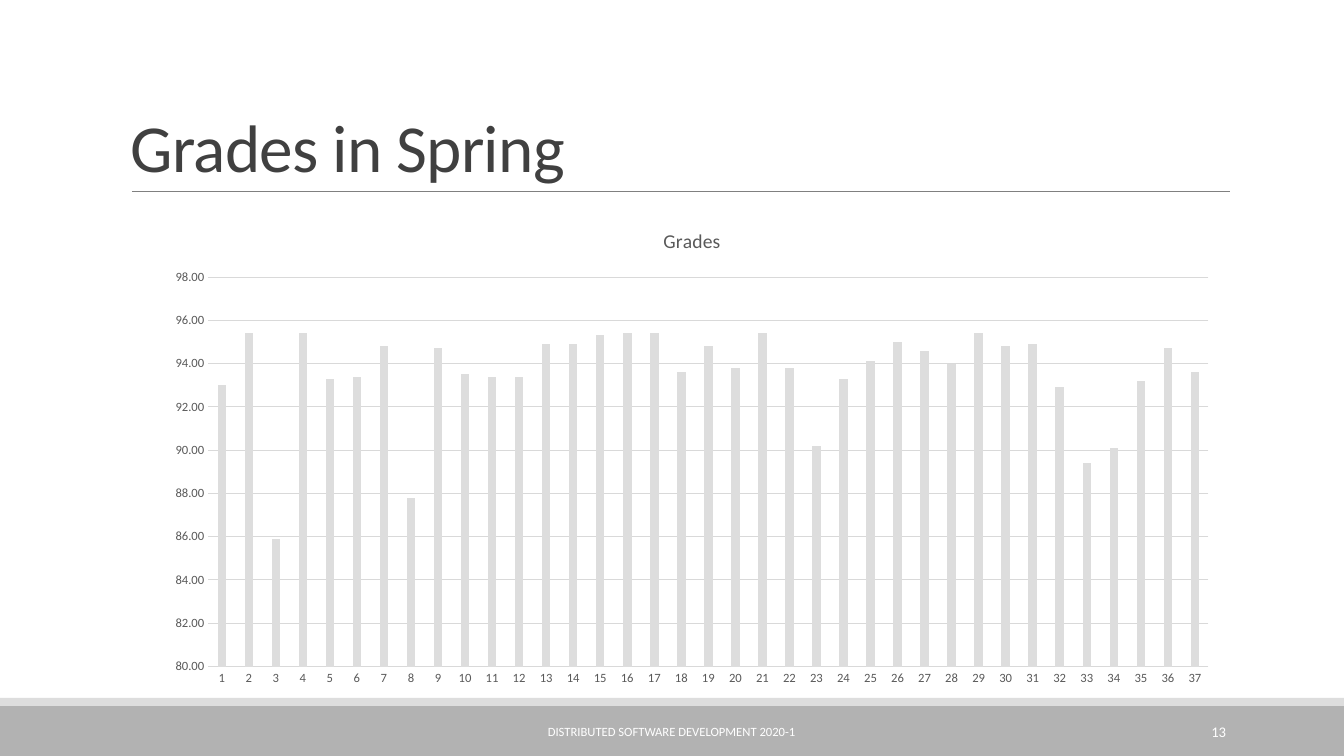
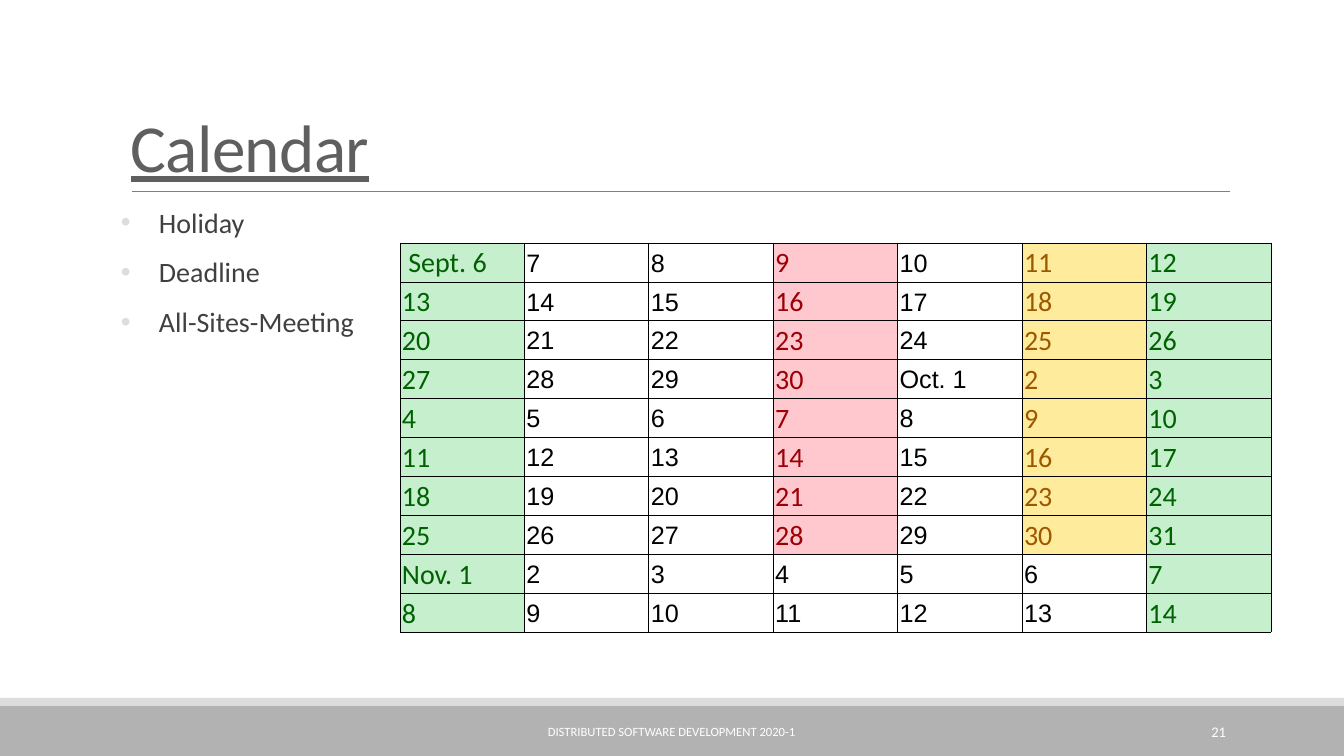
from dataclasses import dataclass
from itertools import chain

from lxml import etree
from pptx import Presentation
from pptx import util as u
from pptx.chart.data import CategoryChartData
from pptx.dml.color import RGBColor
from pptx.enum import chart as charts
from pptx.enum import shapes, text
from pptx.oxml.ns import qn

EMU_PER_PX = 914400 / 100.8
SLIDE_W, SLIDE_H = 1344, 756

COLORS = {
    "title": "404040",
    "title_linked": "5F5F5F",
    "body": "404040",
    "rule": "808080",
    "band": "B2B2B2",
    "accent": "DDDDDD",
    "white": "FFFFFF",
    "black": "000000",
    "grid": "D9D9D9",
    "chart_text": "595959",
}
FONT = "Calibri"
FOOTER = "DISTRIBUTED SOFTWARE DEVELOPMENT 2020-1"

GRADES = [
    93.0, 95.4, 85.9, 95.4, 93.3, 93.4, 94.8, 87.8, 94.7, 93.5,
    93.4, 93.4, 94.9, 94.9, 95.3, 95.4, 95.4, 93.6, 94.8, 93.8,
    95.4, 93.8, 90.2, 93.3, 94.1, 95.0, 94.6, 94.0, 95.4, 94.8,
    94.9, 92.9, 89.4, 90.1, 93.2, 94.7, 93.6,
]
LEGEND = ["Holiday", "Deadline", "All-Sites-Meeting"]
WEEKS, WEEKDAYS = 10, 7
MEETING_WEEKS = 8


@dataclass(frozen=True)
class Box:
    left: int
    top: int
    width: int
    height: int

    def emu(self) -> tuple:
        return px(self.left), px(self.top), px(self.width), px(self.height)


@dataclass(frozen=True)
class TextStyle:
    size: float
    color: str
    font: str = FONT
    underline: bool = False


@dataclass(frozen=True)
class DayStyle:
    text: TextStyle
    fill: str = ""


PLAIN_DAY = DayStyle(TextStyle(18, COLORS["black"], "Arial"))
HOLIDAY = DayStyle(TextStyle(20, "006100"), "C6EFCE")
DEADLINE = DayStyle(TextStyle(20, "9C0006"), "FFC7CE")
MEETING = DayStyle(TextStyle(20, "9C5700"), "FFEB9C")

BANDS = [
    (Box(0, 706, SLIDE_W, 50), COLORS["band"]),
    (Box(0, 698, SLIDE_W, 8), COLORS["accent"]),
]
TITLE_BOX = Box(121, 31, 1109, 160)
FOOTER_BOX = Box(406, 712, 531, 40)
NUMBER_BOX = Box(1092, 712, 144, 40)
CHART_BOX = Box(154, 209, 1076, 486)
LEGEND_BOX = Box(121, 204, 270, 444)
CALENDAR_BOX = Box(400, 243, 871, 389)


def px(length: int) -> u.Emu:
    return u.Emu(round(length * EMU_PER_PX))


def rgb(color: str) -> RGBColor:
    return RGBColor.from_string(color)


def style_font(font, style: TextStyle) -> None:
    font.name = style.font
    font.size = u.Pt(style.size)
    font.color.rgb = rgb(style.color)
    font.bold = False
    if style.underline:
        font.underline = True


def add_text(slide, box: Box, words: str, style: TextStyle,
             anchor=text.MSO_ANCHOR.MIDDLE, align=text.PP_ALIGN.LEFT):
    """Add a wrapping text box, one paragraph per line of words."""
    frame = slide.shapes.add_textbox(*box.emu()).text_frame
    frame.word_wrap = True
    frame.vertical_anchor = anchor
    frame.text = words
    for paragraph in frame.paragraphs:
        paragraph.alignment = align
        style_font(paragraph.runs[0].font, style)
    return frame


def add_rule(slide) -> None:
    rule = slide.shapes.add_connector(
        shapes.MSO_CONNECTOR.STRAIGHT, px(132), px(191), px(1230), px(191))
    rule.line.color.rgb = rgb(COLORS["rule"])
    rule.line.width = u.Pt(0.5)
    etree.SubElement(rule._element.spPr, qn("a:effectLst"))


def add_base_slide(presentation, title: str, number: int, title_style: TextStyle):
    """Add a slide with bands, rule, title, footer and slide number."""
    slide = presentation.slides.add_slide(presentation.slide_layouts[6])
    for box, color in BANDS:
        band = slide.shapes.add_shape(shapes.MSO_SHAPE.RECTANGLE, *box.emu())
        band.shadow.inherit = False
        band.fill.solid()
        band.fill.fore_color.rgb = rgb(color)
        band.line.fill.background()
    add_rule(slide)

    frame = add_text(slide, TITLE_BOX, title, title_style, text.MSO_ANCHOR.BOTTOM)
    paragraph = frame.paragraphs[0]
    paragraph.line_spacing = 0.85
    paragraph.runs[0].font._element.set("spc", "-50")

    add_text(slide, FOOTER_BOX, FOOTER, TextStyle(9, COLORS["white"]),
             align=text.PP_ALIGN.CENTER)
    add_text(slide, NUMBER_BOX, str(number), TextStyle(10.5, COLORS["white"]),
             align=text.PP_ALIGN.RIGHT)
    return slide


def style_axis(axis) -> None:
    axis.major_tick_mark = charts.XL_TICK_MARK.NONE
    axis.minor_tick_mark = charts.XL_TICK_MARK.NONE
    style_font(axis.tick_labels.font, TextStyle(9, COLORS["chart_text"]))


def style_chart_line(line) -> None:
    line.color.rgb = rgb(COLORS["grid"])
    line.width = u.Pt(0.75)


def add_grade_chart(slide) -> None:
    data = CategoryChartData(number_format="0.00")
    data.categories = [str(student) for student in range(1, len(GRADES) + 1)]
    data.add_series("Grades", GRADES)
    chart = slide.shapes.add_chart(
        charts.XL_CHART_TYPE.COLUMN_CLUSTERED, *CHART_BOX.emu(), data).chart
    style_font(chart.font, TextStyle(10, COLORS["black"]))
    chart.has_legend = False
    chart.has_title = True
    title = chart.chart_title.text_frame
    title.text = "Grades"
    style_font(title.paragraphs[0].runs[0].font, TextStyle(14, COLORS["chart_text"]))

    plot = chart.plots[0]
    plot.vary_by_categories = False
    plot.gap_width = 219
    plot.overlap = -27
    fill = plot.series[0].format.fill
    fill.solid()
    fill.fore_color.rgb = rgb(COLORS["accent"])

    style_axis(chart.category_axis)
    style_chart_line(chart.category_axis.format.line)
    values = chart.value_axis
    style_axis(values)
    values.minimum_scale, values.maximum_scale, values.major_unit = 80, 98, 2
    values.tick_labels.number_format = "0.00"
    values.tick_labels.number_format_is_linked = False
    values.format.line.fill.background()
    values.has_major_gridlines = True
    style_chart_line(values.major_gridlines.format.line)


def add_bullet(paragraph, indent: int) -> None:
    properties = paragraph._p.get_or_add_pPr()
    properties.set("marL", str(px(indent)))
    properties.set("indent", str(-px(indent)))
    color = etree.SubElement(properties, qn("a:buClr"))
    etree.SubElement(color, qn("a:srgbClr"), val=COLORS["accent"])
    etree.SubElement(properties, qn("a:buFont"), typeface="Arial")
    etree.SubElement(properties, qn("a:buChar"), char="•")


def add_legend(slide) -> None:
    frame = add_text(slide, LEGEND_BOX, "\n".join(LEGEND),
                     TextStyle(20, COLORS["body"]), text.MSO_ANCHOR.TOP)
    frame.margin_left = frame.margin_right = 0
    for index, paragraph in enumerate(frame.paragraphs):
        add_bullet(paragraph, 38)
        paragraph.line_spacing = 0.9
        paragraph.space_before = u.Pt(12 if index else 0)
        paragraph.space_after = u.Pt(2)


def day_labels() -> list[str]:
    september = [" Sept. 6", *range(7, 31)]
    october = ["Oct. 1", *range(2, 32)]
    november = ["Nov. 1", *range(2, 15)]
    return [str(day) for day in chain(september, october, november)]


def day_style(week: int, weekday: int) -> DayStyle:
    if weekday in (0, 6):
        return HOLIDAY
    if week < MEETING_WEEKS:
        return {3: DEADLINE, 5: MEETING}.get(weekday, PLAIN_DAY)
    return PLAIN_DAY


def add_borders(cell) -> None:
    properties = cell._tc.get_or_add_tcPr()
    for side in ("lnL", "lnR", "lnT", "lnB"):
        line = etree.SubElement(properties, qn(f"a:{side}"), w=str(u.Pt(0.5)))
        fill = etree.SubElement(line, qn("a:solidFill"))
        etree.SubElement(fill, qn("a:srgbClr"), val=COLORS["black"])


def fill_day(cell, label: str, style: DayStyle) -> None:
    add_borders(cell)
    if style.fill:
        cell.fill.solid()
        cell.fill.fore_color.rgb = rgb(style.fill)
    else:
        cell.fill.background()
    cell.margin_left = cell.margin_right = cell.margin_top = px(2)
    cell.margin_bottom = 0
    cell.vertical_anchor = text.MSO_ANCHOR.MIDDLE
    cell.text_frame.text = label
    style_font(cell.text_frame.paragraphs[0].runs[0].font, style.text)


def add_calendar(slide) -> None:
    table = slide.shapes.add_table(WEEKS, WEEKDAYS, *CALENDAR_BOX.emu()).table
    table.first_row = table.horz_banding = False
    for index, label in enumerate(day_labels()):
        week, weekday = divmod(index, WEEKDAYS)
        fill_day(table.cell(week, weekday), label, day_style(week, weekday))


def main() -> None:
    presentation = Presentation()
    presentation.slide_width, presentation.slide_height = px(SLIDE_W), px(SLIDE_H)

    grades = add_base_slide(presentation, "Grades in Spring", 13,
                            TextStyle(48, COLORS["title"]))
    add_grade_chart(grades)

    calendar = add_base_slide(presentation, "Calendar", 21,
                              TextStyle(48, COLORS["title_linked"], underline=True))
    add_legend(calendar)
    add_calendar(calendar)

    presentation.save("out.pptx")


if __name__ == "__main__":
    main()
